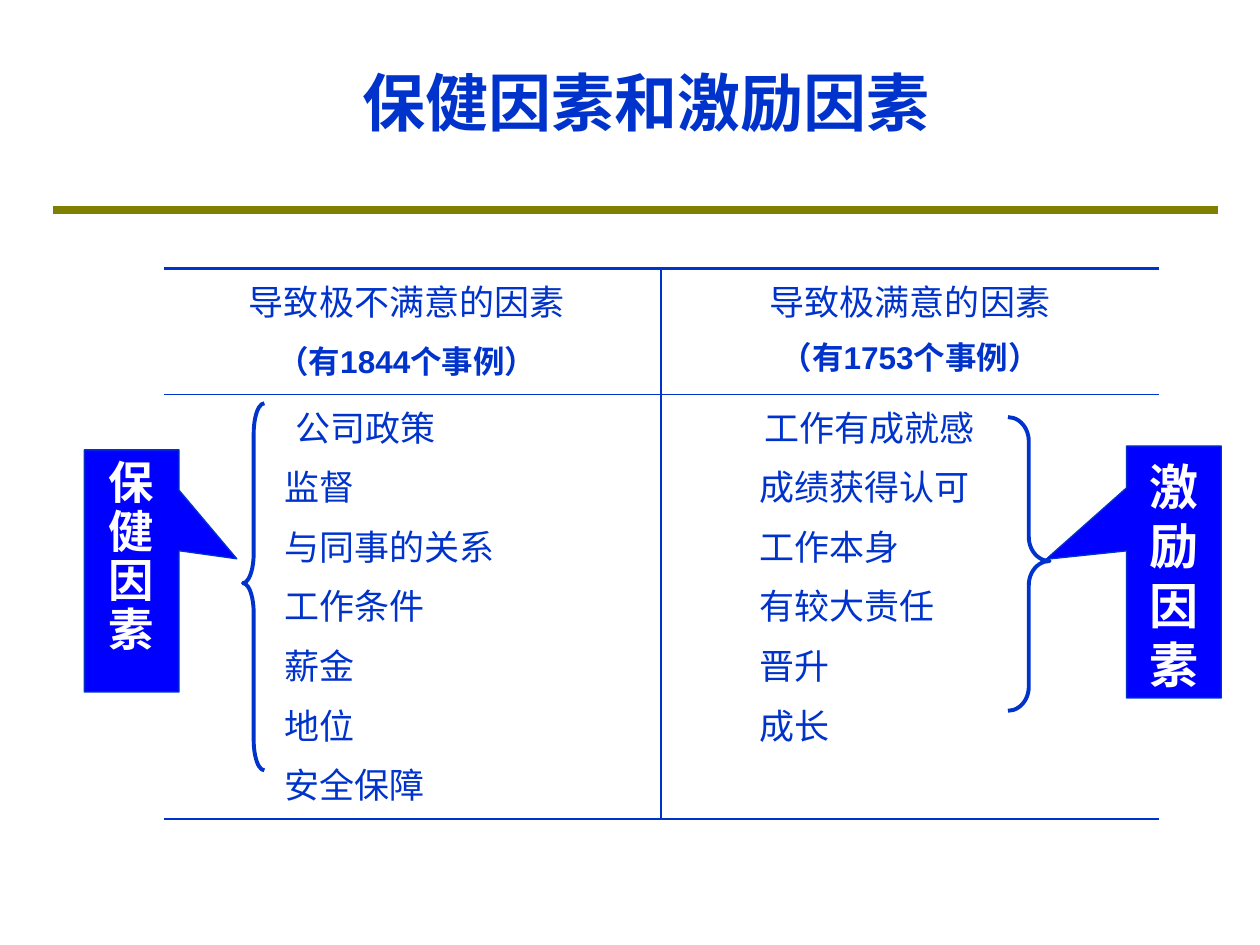
from lxml import etree
from pptx import Presentation
from pptx import util as u
from pptx.dml.color import RGBColor
from pptx.enum import shapes, text
from pptx.oxml.ns import qn

BLUE = RGBColor(0x00, 0x33, 0xCC)
BRIGHT_BLUE = RGBColor(0x00, 0x00, 0xFF)
OLIVE = RGBColor(0x80, 0x80, 0x00)
WHITE = RGBColor(0xFF, 0xFF, 0xFF)

CAUSES = [
    {
        "heading": "导致极不满意的因素",
        "cases": "（有1844个事例）",
        "right_margin": 0.23,
        "cases_gap": 6.8,
        "indents": (2.41, 2.18),
        "factors": ["公司政策", "监督", "与同事的关系", "工作条件", "薪金", "地位", "安全保障"],
    },
    {
        "heading": "导致极满意的因素",
        "cases": "（有1753个事例）",
        "right_margin": 0,
        "cases_gap": 4.5,
        "indents": (1.83, 1.73),
        "factors": ["工作有成就感", "成绩获得认可", "工作本身", "有较大责任", "晋升", "成长"],
    },
]


def style(paragraph, size, color=BLUE, bold=False, name="Arial", align=text.PP_ALIGN.CENTER):
    paragraph.alignment = align
    for run in paragraph.runs:
        run.font.size = u.Pt(size)
        run.font.bold = bold
        run.font.name = name
        run.font.color.rgb = color


def add_title(slide, words):
    title = slide.shapes.add_textbox(u.Cm(2.77), u.Cm(1.3), u.Cm(20.52), u.Cm(1.47))
    frame = title.text_frame
    frame.word_wrap = True
    frame.vertical_anchor = text.MSO_ANCHOR.MIDDLE
    frame.text = words
    style(frame.paragraphs[0], 36, bold=True)


def add_rule(slide):
    rule = slide.shapes.add_connector(
        shapes.MSO_CONNECTOR.STRAIGHT, u.Cm(1.07), u.Cm(4.24), u.Cm(24.56), u.Cm(4.24))
    rule.line.color.rgb = OLIVE
    rule.line.width = u.Pt(4.5)
    etree.SubElement(rule._element.spPr, qn("a:effectLst"))


def set_borders(cell, widths):
    properties = cell._tc.get_or_add_tcPr()
    for side in ("L", "R", "T", "B"):
        border = etree.SubElement(properties, qn(f"a:ln{side}"))
        if side in widths:
            border.set("w", str(u.Pt(widths[side])))
            fill = etree.SubElement(border, qn("a:solidFill"))
            etree.SubElement(fill, qn("a:srgbClr")).set("val", str(BLUE))
        else:
            etree.SubElement(border, qn("a:noFill"))
    cell.fill.background()


def fill_heading(cell, cause):
    cell.text = cause["heading"] + "\n" + cause["cases"]
    heading, cases = cell.text_frame.paragraphs
    style(heading, 20)
    style(cases, 18, bold=True)
    cases.space_before = u.Pt(cause["cases_gap"])
    for paragraph in (heading, cases):
        paragraph._p.get_or_add_pPr().set("marR", str(u.Cm(cause["right_margin"])))


def fill_factors(cell, cause):
    cell.text = "\n".join(cause["factors"])
    first_indent, indent = cause["indents"]
    for index, paragraph in enumerate(cell.text_frame.paragraphs):
        style(paragraph, 20, align=text.PP_ALIGN.LEFT)
        margin = indent if index else first_indent
        paragraph._p.get_or_add_pPr().set("marL", str(u.Cm(margin)))
        if index:
            paragraph.space_before = u.Pt(5)


def add_causes_table(slide):
    table = slide.shapes.add_table(
        2, 2, u.Cm(3.3), u.Cm(5.41), u.Cm(20.06), u.Cm(11.1)).table
    table.first_row = False
    table.horz_banding = False
    table.rows[0].height = u.Cm(2.54)
    table.rows[1].height = u.Cm(8.56)
    for column, cause in enumerate(CAUSES):
        inner_side = "L" if column else "R"
        heading, factors = table.cell(0, column), table.cell(1, column)
        fill_heading(heading, cause)
        fill_factors(factors, cause)
        set_borders(heading, {inner_side: 1.47, "T": 1.47, "B": 0.45})
        set_borders(factors, {inner_side: 1.47, "T": 0.45, "B": 1.47})


def add_preset(slide, preset, box, adjustments, line_width):
    shape = slide.shapes.add_shape(preset, *(u.Cm(length) for length in box))
    shape.shadow.inherit = False
    shape.line.color.rgb = BLUE
    shape.line.width = u.Pt(line_width)
    for index, value in enumerate(adjustments):
        shape.adjustments[index] = value
    return shape


def add_brace(slide, preset, box, adjustments):
    add_preset(slide, preset, box, adjustments, 2.25).fill.background()


def add_callout(slide, words, box, pointer, size, line_spacing):
    callout = add_preset(
        slide, shapes.MSO_SHAPE.RECTANGULAR_CALLOUT, box, pointer, 0.75)
    callout.fill.solid()
    callout.fill.fore_color.rgb = BRIGHT_BLUE
    frame = callout.text_frame
    frame.word_wrap = True
    frame.vertical_anchor = text.MSO_ANCHOR.TOP
    frame.margin_top = u.Cm(0.2)
    frame.text = words
    style(frame.paragraphs[0], size, WHITE, True, "Noto Sans CJK SC")
    frame.paragraphs[0].line_spacing = u.Pt(line_spacing)


def main():
    deck = Presentation()
    deck.slide_width, deck.slide_height = u.Cm(25.4), u.Cm(19.05)
    slide = deck.slides.add_slide(deck.slide_layouts[6])
    add_rule(slide)
    add_title(slide, "保健因素和激励因素")
    add_causes_table(slide)
    add_brace(slide, shapes.MSO_SHAPE.LEFT_BRACE, (4.9, 8.13, 0.43, 7.4), (1.41, 0.49))
    add_callout(slide, "保健因素", (1.7, 9.07, 1.91, 4.88), (1.11, -0.05), 25.9, 28)
    add_callout(slide, "激励因素", (22.71, 8.99, 1.91, 5.08), (-1.35, -0.05), 28, 34)
    add_brace(slide, shapes.MSO_SHAPE.RIGHT_BRACE, (20.32, 8.41, 0.84, 5.92), (0.58, 0.49))
    deck.save("out.pptx")


if __name__ == "__main__":
    main()
